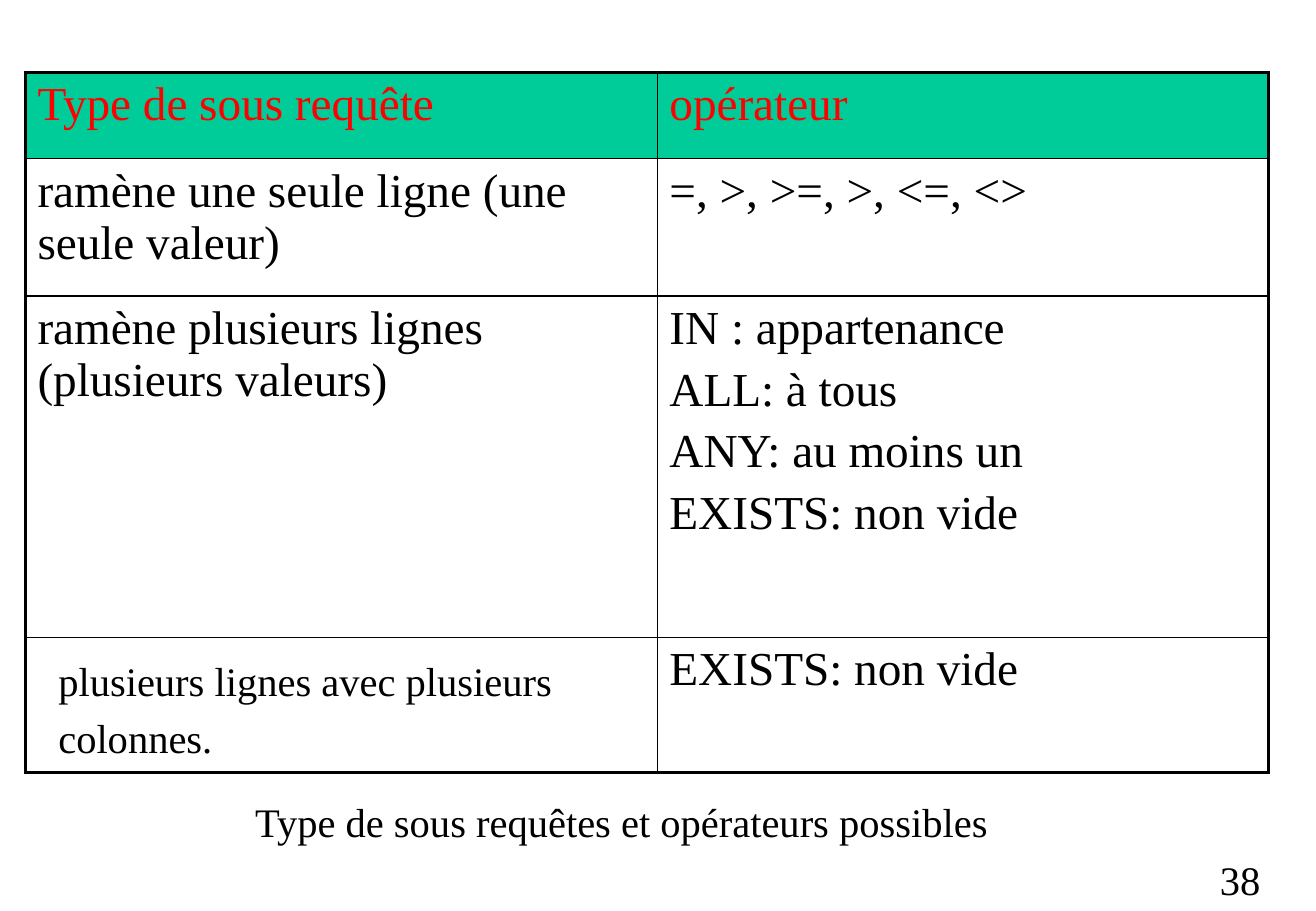
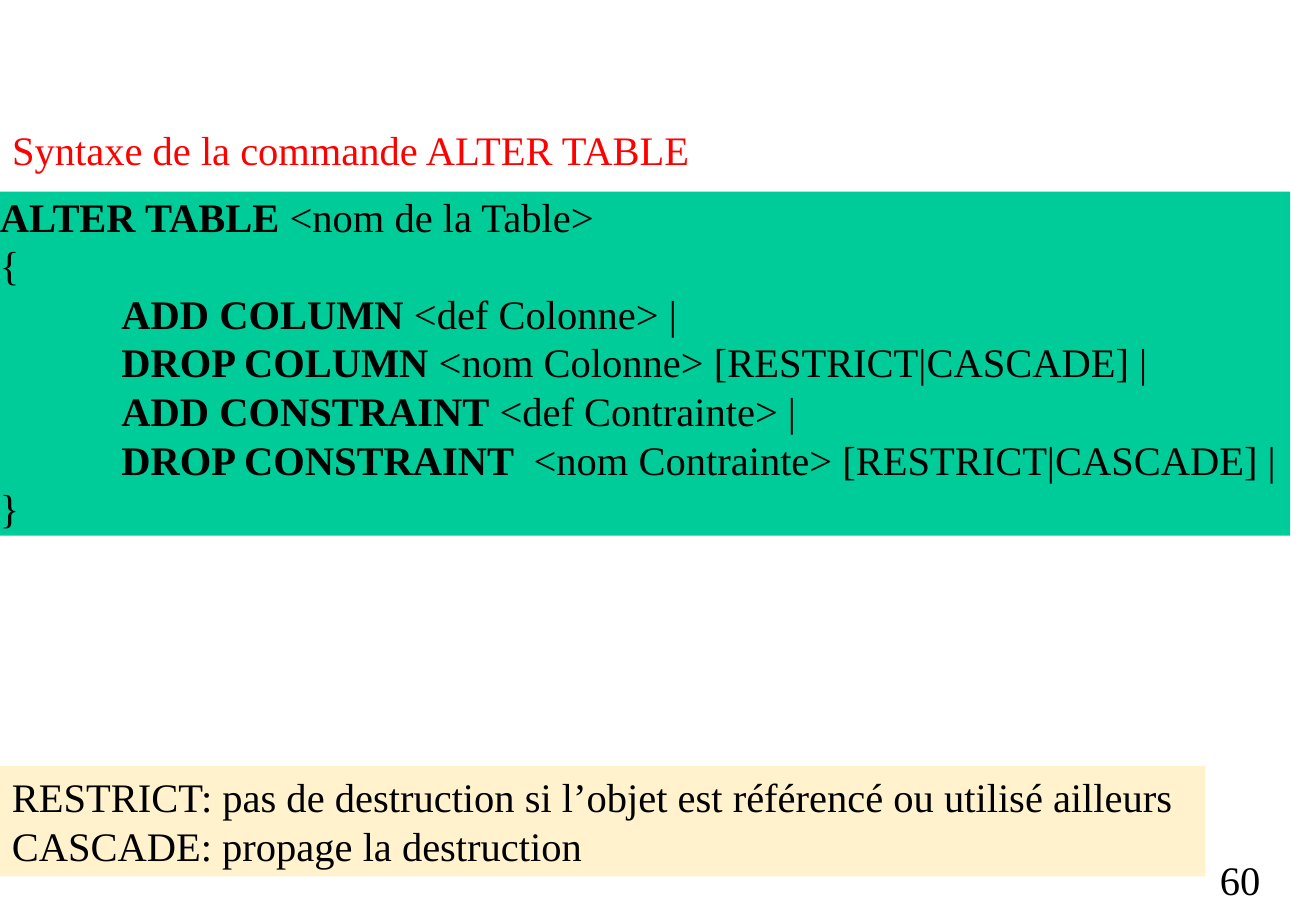
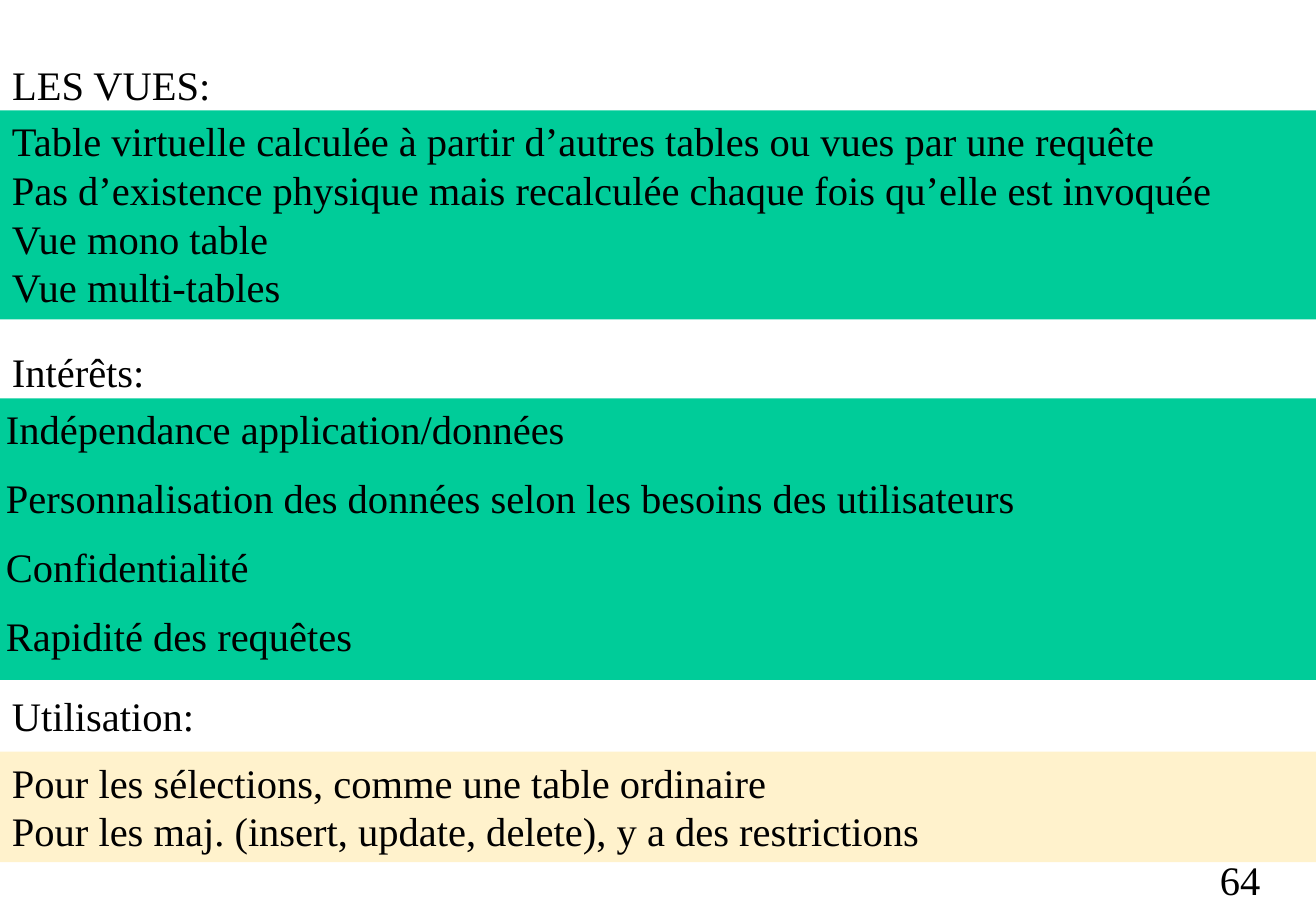
from lxml.etree import SubElement
from pptx import Presentation
from pptx.dml.color import RGBColor
from pptx.enum.shapes import MSO_SHAPE
from pptx.enum.text import MSO_ANCHOR, MSO_AUTO_SIZE, PP_ALIGN
from pptx.oxml.ns import qn
from pptx.util import Cm, Pt

COLORS = {
    "text": "000000",
    "accent": "FF0000",
    "green": "00CC99",
    "cream": "FFF2CC",
}
FONT = "Times New Roman"
LEADING = {24: 28.8, 28: 31}
WIDTH, HEIGHT = 27.51, 19.05
TITLE_ONLY, TITLE_AND_BODY = 5, 1


def rgb(name):
    return RGBColor.from_string(COLORS[name])


def write(tf, lines, size=24, color="text", gap=0):
    """Fill a text frame; a line is a string or a list of (text, bold) runs."""
    for i, line in enumerate(lines):
        p = tf.paragraphs[0] if i == 0 else tf.add_paragraph()
        p.alignment = PP_ALIGN.LEFT
        p.line_spacing = Pt(LEADING[size])
        p.space_before = Pt(gap if i else 0)
        p.space_after = Pt(0)
        for text, bold in [(line, False)] if isinstance(line, str) else line:
            r = p.add_run()
            r.text = text
            r.font.name = FONT
            r.font.size = Pt(size)
            r.font.bold = bold
            r.font.color.rgb = rgb(color)


def place(sp, left, top, width, height, wrap=True):
    sp.left, sp.top, sp.width, sp.height = map(Cm, (left, top, width, height))
    tf = sp.text_frame
    tf.auto_size = MSO_AUTO_SIZE.NONE
    tf.vertical_anchor = MSO_ANCHOR.TOP
    tf.word_wrap = wrap
    return tf


def paint(sp, color):
    sp.fill.solid()
    sp.fill.fore_color.rgb = rgb(color)


def add_page(prs, layout, number):
    slide = prs.slides.add_slide(prs.slide_layouts[layout])
    add_label(slide, number, 25.25, 17.75, 2.26, wrap=True)
    return slide


def set_title(slide, text, left, top, width, color="text"):
    tf = place(slide.shapes.title, left, top, width, 1.3, wrap=False)
    write(tf, [text], color=color)


def add_label(slide, text, left, top, width, wrap=False):
    sp = slide.shapes.add_textbox(0, 0, 0, 0)
    write(place(sp, left, top, width, 1.3, wrap), [text])


def add_panel(slide, lines, top, width, height, color, margin=None):
    sp = slide.shapes.add_shape(MSO_SHAPE.RECTANGLE, 0, 0, 0, 0)
    sp.shadow.inherit = False
    sp.line.fill.background()
    paint(sp, color)
    tf = place(sp, 0, top, width, height)
    if margin is not None:
        tf.margin_left = tf.margin_top = Cm(margin)
        tf.margin_right = tf.margin_bottom = Cm(margin)
    write(tf, lines)
    return tf


def set_list(slide, lines, left, top, width, height, color, gap):
    """Turn the body placeholder into a coloured list without bullets."""
    body = slide.placeholders[1]
    paint(body, color)
    tf = place(body, left, top, width, height)
    write(tf, lines, gap=gap)
    for p in tf.paragraphs:
        pPr = p._p.get_or_add_pPr()
        pPr.set("marL", "0")
        pPr.set("indent", "0")
        SubElement(pPr, qn("a:buNone"))


def set_borders(cell, widths):
    """Draw the left, right, top and bottom borders, before any cell fill."""
    tcPr = cell._tc.get_or_add_tcPr()
    for side, width in zip("LRTB", widths):
        ln = SubElement(tcPr, qn(f"a:ln{side}"), w=str(Pt(width)))
        fill = SubElement(ln, qn("a:solidFill"))
        SubElement(fill, qn("a:srgbClr"), val=COLORS["text"])


def add_grid(slide, rows, left, top, widths, heights):
    frame = slide.shapes.add_table(len(rows), len(widths), Cm(left), Cm(top),
                                   Cm(sum(widths)), Cm(sum(heights)))
    table = frame.table
    for column, width in zip(table.columns, widths):
        column.width = Cm(width)
    for row, height in zip(table.rows, heights):
        row.height = Cm(height)
    last_row, last_col = len(rows) - 1, len(widths) - 1
    for i, row in enumerate(rows):
        for j, lines in enumerate(row):
            cell = table.cell(i, j)
            edges = (j == 0, j == last_col, i == 0, i == last_row)
            set_borders(cell, [2.25 if edge else 1 for edge in edges])
            if i == 0:
                paint(cell, "green")
            else:
                cell.fill.background()
            if (i, j) == (last_row, 0):
                cell.margin_left, cell.margin_top = Cm(0.69), Cm(0.4)
                write(cell.text_frame, lines, gap=4.8)
            else:
                write(cell.text_frame, lines, size=28, gap=5.6,
                      color="text" if i else "accent")


def operators_slide(prs):
    slide = add_page(prs, TITLE_ONLY, "38")
    rows = [
        (["Type de sous requête"], ["opérateur"]),
        (["ramène une seule ligne (une seule valeur)"],
         ["=, >, >=, >, <=, <>"]),
        (["ramène plusieurs lignes (plusieurs valeurs)"],
         ["IN : appartenance", "ALL: à tous", "ANY: au moins un",
          "EXISTS: non vide"]),
        (["plusieurs lignes avec plusieurs", "colonnes."],
         ["EXISTS: non vide"]),
    ]
    add_grid(slide, rows, 0.53, 1.52, (13.21, 12.78), (1.8, 2.87, 7.14, 2.82))
    set_title(slide, "Type de sous requêtes et opérateurs possibles",
              5.08, 16.54, 15.98)


def alter_table_slide(prs):
    slide = add_page(prs, TITLE_ONLY, "60")
    set_title(slide, "Syntaxe de la commande ALTER TABLE", 0, 2.49, 14.8,
              color="accent")
    clauses = [
        ("ADD COLUMN", " <def Colonne> |"),
        ("DROP COLUMN", " <nom Colonne> [RESTRICT|CASCADE] |"),
        ("ADD CONSTRAINT", " <def Contrainte> |"),
        ("DROP CONSTRAINT  ", "<nom Contrainte> [RESTRICT|CASCADE] |"),
    ]
    syntax = [[("ALTER TABLE", True), (" <nom de la Table>", False)], "{"]
    syntax += [[(verb, True), (rest, False)] for verb, rest in clauses]
    syntax.append("}")
    tf = add_panel(slide, syntax, 4.01, 26.97, 7.19, "green", margin=0)
    for p in tf.paragraphs[2:-1]:
        p._p.get_or_add_pPr().set("marL", str(Cm(2.54)))
    add_panel(slide, [
        "RESTRICT: pas de destruction si l’objet est référencé ou utilisé "
        "ailleurs",
        "CASCADE: propage la destruction",
    ], 16.02, 25.2, 2.31, "cream")


def views_slide(prs):
    slide = add_page(prs, TITLE_AND_BODY, "64")
    set_title(slide, "LES VUES:", 0, 1.12, 4.7)
    add_panel(slide, [
        "Table virtuelle calculée à partir d’autres tables ou vues par une "
        "requête",
        "Pas d’existence physique mais recalculée chaque fois qu’elle est "
        "invoquée",
        "Vue mono table",
        "Vue multi-tables",
    ], 2.31, WIDTH, 4.37, "green")
    add_label(slide, "Intérêts:", 0, 7.14, 3.3)
    set_list(slide, [
        "Indépendance application/données",
        "Personnalisation des données selon les besoins des utilisateurs",
        "Confidentialité",
        "Rapidité des requêtes",
    ], -0.13, 8.33, WIDTH + 0.13, 5.89, "green", gap=12)
    add_label(slide, "Utilisation:", 0, 14.33, 4.34)
    add_panel(slide, [
        "Pour les sélections, comme une table ordinaire",
        "Pour les maj. (insert, update, delete), y a des restrictions",
    ], 15.72, WIDTH, 2.31, "cream")


def main():
    prs = Presentation()
    prs.slide_width, prs.slide_height = Cm(WIDTH), Cm(HEIGHT)
    operators_slide(prs)
    alter_table_slide(prs)
    views_slide(prs)
    prs.save("out.pptx")


if __name__ == "__main__":
    main()
